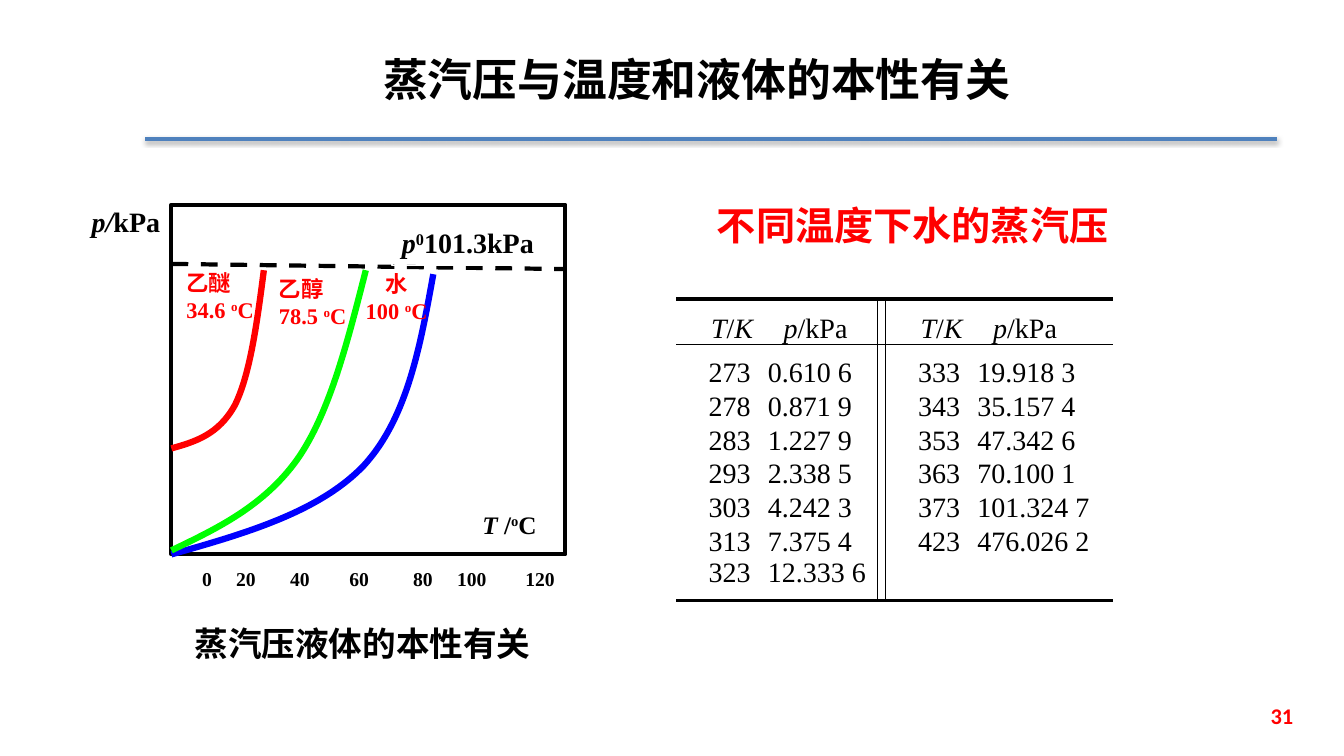
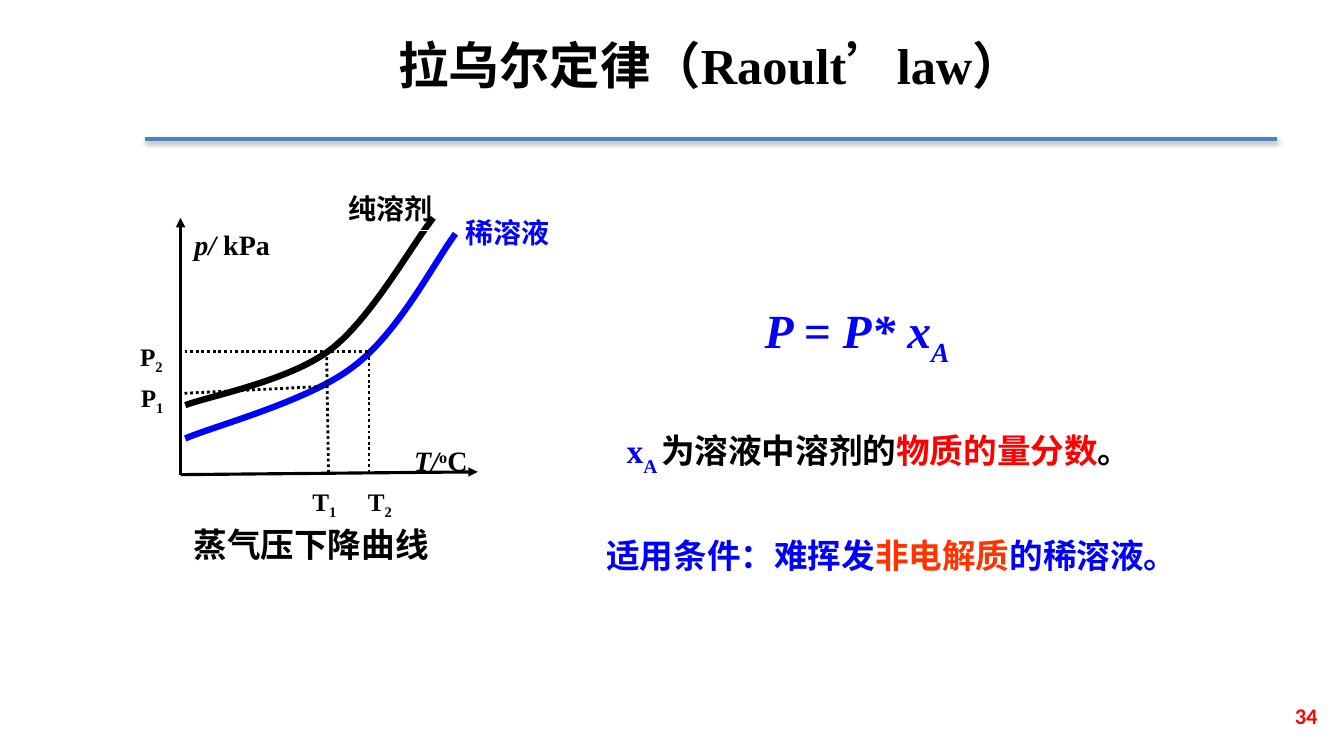
from lxml import etree
from pptx import Presentation
from pptx.dml.color import RGBColor
from pptx.enum.dml import MSO_LINE
from pptx.enum.shapes import MSO_CONNECTOR, MSO_SHAPE
from pptx.enum.text import MSO_ANCHOR, PP_ALIGN
from pptx.oxml.ns import qn
from pptx.util import Cm, Pt

SERIF, CJK = "Times New Roman", "Noto Sans CJK SC"
BLACK, WHITE, RED, BLUE, GREEN = "000000", "FFFFFF", "FF0000", "0000FF", "00FF00"
ORANGE, RULE_BLUE = "FF3300", "4F81BD"
NO_GRID_STYLE = "{2D5ABB26-0587-4C30-8999-92F81FD0307C}"


def italic(text):
    return text, {"italic": True}


def raised(text):
    return text, {"baseline": 30}


def lowered(text, percent=25):
    return text, {"baseline": -percent}


def tinted(text, color):
    return text, {"color": color}


# Lengths in cm. Labels: left, top, width, height, paragraphs of runs, style.
DEGREE = [raised("o"), "C"]
LIQUID = {"size": 16, "color": RED}
AXIS = {"size": 18}

PRESSURE_TITLE = (7.62, 1.04, 19.89, 1.88, [["蒸汽压与温度和液体的本性有关"]],
                  {"size": 32, "font": CJK})
PRESSURE_LABELS = [
    (11.91, 12.7, 2.51, 1.02, [[italic("T "), "/", *DEGREE]], AXIS),
    (2.06, 5.03, 2.97, 1.12, [[italic("p/"), "kPa"]], {}),
    (9.88, 5.56, 3.99, 1.12, [[italic("p"), raised("0"), "101.3kPa"]], {"outline": WHITE}),
    (8.94, 6.68, 2.11, 1.63, [["水"], ["100 ", *DEGREE]],
     {**LIQUID, "align": PP_ALIGN.CENTER}),
    (6.78, 6.81, 2.6, 1.63, [["乙醇"], ["78.5 ", *DEGREE]], LIQUID),
    (4.45, 6.65, 2.49, 1.63, [["乙醚"], ["34.6 ", *DEGREE]], LIQUID),
    (4.27, 15.27, 9.73, 1.88, [["蒸汽压液体的本性有关"]],
     {"size": 24, "font": CJK, "align": PP_ALIGN.CENTER, "anchor": MSO_ANCHOR.MIDDLE}),
    (16.94, 4.95, 12.12, 1.45, [["不同温度下水的蒸汽压"]],
     {"size": 28, "font": CJK, "color": RED, "align": PP_ALIGN.CENTER}),
]
TICKS = [("0", 5.22), ("20", 6.2), ("40", 7.56), ("60", 9.05),
         ("80", 10.66), ("100", 11.89), ("120", 13.61)]
PLOT_FRAME = (4.32, 5.16, 9.93, 8.81)
STANDARD_PRESSURE = [(4.32, 6.65), (14.25, 6.78)]
LIQUID_CURVES = [
    (BLUE, [(4.32, 13.97), (6.2, 13.44), (8.05, 12.9), (9.17, 11.73),
            (10.26, 10.54), (10.59, 8.74), (10.92, 6.91)]),
    (GREEN, [(4.32, 13.87), (5.49, 13.31), (6.65, 12.75), (7.49, 11.58),
             (8.31, 10.41), (8.76, 8.61), (9.22, 6.81)]),
    (RED, [(4.32, 11.3), (4.93, 11.13), (5.51, 10.95), (5.92, 10.21),
           (6.3, 9.45), (6.48, 8.13), (6.65, 6.81)]),
]
TABLE_HEADER = [[italic("T"), "/", italic("K")], [italic("p"), "/kPa"]]
LOW_TEMPERATURES = [("273", "0.610 6"), ("278", "0.871 9"), ("283", "1.227 9"),
                    ("293", "2.338 5"), ("303", "4.242 3"), ("313", "7.375 4"),
                    ("323", "12.333 6")]
HIGH_TEMPERATURES = [("333", "19.918 3"), ("343", "35.157 4"), ("353", "47.342 6"),
                     ("363", "70.100 1"), ("373", "101.324 7"), ("423", "476.026 2"),
                     ("", "")]
TABLE_ORIGIN = (17.04, 7.54)
COLUMN_WIDTHS = [2.06, 3.02, 0.2, 2.06, 3.66]
ROW_HEIGHTS = [1.14, 1.12] + [0.84] * 5 + [1.09]
HEADER_INDENTS, BODY_INDENTS = (0.88, 0.65), (0.82, 0.25)
DIVIDER = 2

RAOULT_TITLE = (3.99, 0.2, 27.84, 2.84,
                [["拉乌尔定律（Raoult", ("’", {"font": CJK}), "law）"]], {"size": 36})
RAOULT_LABELS = [
    (10.19, 11.05, 2.5, 1.12, [[italic("T/"), *DEGREE]], {}),
    (3.51, 13.08, 8.66, 1.3, [["蒸气压下降曲线"]],
     {"size": 24, "font": CJK, "align": PP_ALIGN.CENTER}),
    (4.65, 5.61, 2.8, 1.12, [[italic("p/ "), "kPa"]], {}),
    (11.48, 5.31, 2.92, 1.12, [["稀溶液"]], {"color": BLUE, "outline": WHITE}),
    (8.53, 4.7, 2.67, 1.12, [["纯溶剂"]], {"outline": WHITE}),
    (3.3, 9.5, 1.4, 1.02, [["P", lowered("1")]], AXIS),
    (3.28, 8.48, 1.4, 1.02, [["P", lowered("2")]], AXIS),
    (7.62, 12.12, 1.6, 1.02, [["T", lowered("1")]], AXIS),
    (9.02, 12.12, 1.6, 1.02, [["T", lowered("2")]], AXIS),
    (15.54, 10.11, 13, 1.63,
     [[tinted("x", BLUE), ("A ", {"baseline": -30, "color": BLUE}), "为溶液中溶剂的",
       tinted("物质的量分数", RED), "。"]], {"size": 24, "spacing": 1.5}),
    (19.02, 7.29, 7, 1.75, [["P = P* x", lowered("A", 30)]],
     {"size": 34, "color": BLUE, "italic": True, "spacing": 1.1}),
    (14.78, 13.26, 14.55, 1.3,
     [["适用条件：难挥发", tinted("非电解质", ORANGE), "的稀溶液。"]],
     {"size": 24, "font": CJK, "color": BLUE, "align": PP_ALIGN.CENTER, "spacing": 1.1}),
]
SOLVENT_CURVE = [(4.67, 10.21), (5.28, 9.98), (7.29, 9.6), (8.33, 8.81),
                 (9.35, 8.03), (10.36, 6.2), (10.92, 5.49)]
SOLUTION_CURVE = [(4.67, 11.05), (5.38, 10.74), (7.77, 10.11), (8.89, 9.25),
                  (10.03, 8.41), (10.95, 6.6), (11.48, 5.89)]
AXIS_ORIGIN = (4.55, 11.96)
AXIS_ENDS = [(12.04, 11.89), (4.55, 5.49)]
GUIDES = [((4.65, 8.86), (9.3, 8.86)), ((8.23, 8.86), (8.28, 11.96)),
          ((9.3, 8.86), (9.3, 11.96)), ((4.65, 9.91), (8.26, 9.73))]


def rgb(color):
    return RGBColor.from_string(color)


def set_line(line, color, width, dash=None):
    line.color.rgb = rgb(color)
    line.width = Pt(width)
    if dash:
        line.dash_style = dash


def write(paragraph, runs, size=20, font=SERIF, color=BLACK, bold=True,
          italic=False, align=PP_ALIGN.LEFT, spacing=None):
    """Fill a paragraph with runs: plain strings or (text, changes) pairs."""
    paragraph.alignment = align
    if spacing:
        paragraph.line_spacing = spacing
    base = paragraph.font
    base.size, base.name, base.bold, base.italic = Pt(size), font, bold, italic
    base.color.rgb = rgb(color)
    defaults = paragraph._p.pPr.find(qn("a:defRPr"))
    etree.SubElement(defaults, qn("a:ea")).set("typeface", CJK)
    for item in runs:
        text, changes = (item, {}) if isinstance(item, str) else item
        run = paragraph.add_run()
        run.text = text
        if "italic" in changes:
            run.font.italic = changes["italic"]
        if "color" in changes:
            run.font.color.rgb = rgb(changes["color"])
        if "font" in changes:
            run.font.name = changes["font"]
        if "baseline" in changes:
            run._r.get_or_add_rPr().set("baseline", str(changes["baseline"] * 1000))


def add_label(slide, left, top, width, height, paragraphs, style):
    style = dict(style)
    outline = style.pop("outline", None)
    anchor = style.pop("anchor", MSO_ANCHOR.TOP)
    label = slide.shapes.add_textbox(Cm(left), Cm(top), Cm(width), Cm(height))
    if outline:
        set_line(label.line, outline, 0.75)
    frame = label.text_frame
    frame.word_wrap = True
    frame.vertical_anchor = anchor
    for index, runs in enumerate(paragraphs):
        paragraph = frame.add_paragraph() if index else frame.paragraphs[0]
        write(paragraph, runs, **style)


def add_line(slide, start, end, color=BLACK, width=3.0, dash=None, arrow=False):
    """Draw a straight line and return its effect list, which is empty."""
    line = slide.shapes.add_connector(MSO_CONNECTOR.STRAIGHT, *map(Cm, start + end))
    set_line(line.line, color, width, dash)
    if arrow:
        etree.SubElement(line.line._get_or_add_ln(), qn("a:tailEnd")).set("type", "triangle")
    return etree.SubElement(line._element.spPr, qn("a:effectLst"))


def add_curve(slide, color, points):
    """Draw Bezier segments: a start point, then three points for each segment."""
    pen = slide.shapes.build_freeform(*map(Cm, points[0]))
    pen.add_line_segments([(Cm(x), Cm(y)) for x, y in points[1:]], close=False)
    curve = pen.convert_to_shape()
    curve.shadow.inherit = False
    curve.fill.background()
    set_line(curve.line, color, 4.5)
    outline = next(curve._element.iter(qn("a:path")))
    steps = outline.findall(qn("a:lnTo"))
    for first in range(0, len(steps), 3):
        bezier = etree.SubElement(outline, qn("a:cubicBezTo"))
        for step in steps[first:first + 3]:
            bezier.append(step[0])
            outline.remove(step)


def add_borders(cell, widths):
    """Set borders from a dict of sides (L, R, T, B) to widths in points."""
    properties = cell._tc.get_or_add_tcPr()
    for index, side in enumerate(s for s in "LRTB" if s in widths):
        border = etree.Element(qn(f"a:ln{side}"), w=str(Pt(widths[side])))
        fill = etree.SubElement(border, qn("a:solidFill"))
        etree.SubElement(fill, qn("a:srgbClr")).set("val", BLACK)
        properties.insert(index, border)


def add_pressure_table(slide):
    rows = [TABLE_HEADER + [[]] + TABLE_HEADER]
    for low, high in zip(LOW_TEMPERATURES, HIGH_TEMPERATURES):
        rows.append([[text] if text else [] for text in (*low, "", *high)])
    size = sum(COLUMN_WIDTHS), sum(ROW_HEIGHTS)
    table = slide.shapes.add_table(len(rows), len(COLUMN_WIDTHS),
                                   *map(Cm, TABLE_ORIGIN + size)).table
    table.first_row = table.horz_banding = False
    table._tbl.tblPr.find(qn("a:tableStyleId")).text = NO_GRID_STYLE
    for column, width in zip(table.columns, COLUMN_WIDTHS):
        column.width = Cm(width)
    last = len(rows) - 1
    for r, row in enumerate(rows):
        table.rows[r].height = Cm(ROW_HEIGHTS[r])
        temperature, pressure = BODY_INDENTS if r else HEADER_INDENTS
        indents = [temperature, pressure, 0, temperature, pressure]
        for c, runs in enumerate(row):
            cell = table.cell(r, c)
            cell.margin_left = Cm(indents[c])
            cell.margin_right = cell.margin_top = cell.margin_bottom = 0
            cell.vertical_anchor = MSO_ANCHOR.TOP if r == last else MSO_ANCHOR.BOTTOM
            cell.fill.background()
            write(cell.text_frame.paragraphs[0], runs, bold=False)
            borders = {"L": 0.75, "R": 0.75} if c == DIVIDER else {}
            if r == 0:
                borders.update(T=3, B=0.75)
            elif r == last:
                borders["B"] = 3
            add_borders(cell, borders)


def start_slide(deck, title, number, number_right):
    slide = deck.slides.add_slide(deck.slide_layouts[6])
    effects = add_line(slide, (3.66, 3.5), (32.18, 3.5), RULE_BLUE)
    shadow = etree.SubElement(effects, qn("a:outerShdw"), blurRad=str(Pt(3.1)),
                              dist=str(Pt(1.8)), dir="5400000", rotWithShape="0")
    shade = etree.SubElement(shadow, qn("a:srgbClr"), val=BLACK)
    etree.SubElement(shade, qn("a:alpha"), val="35000")
    *box, paragraphs, style = title
    add_label(slide, *box, paragraphs,
              {**style, "align": PP_ALIGN.CENTER, "anchor": MSO_ANCHOR.MIDDLE})
    add_label(slide, number_right - 7.9, 17.53, 7.9, 1.02, [[number]],
              {"size": 16, "font": "Calibri", "color": RED,
               "align": PP_ALIGN.RIGHT, "anchor": MSO_ANCHOR.MIDDLE})
    return slide


def build_pressure_slide(deck):
    slide = start_slide(deck, PRESSURE_TITLE, "31", 32.84)
    add_line(slide, *STANDARD_PRESSURE, dash=MSO_LINE.DASH)
    frame = slide.shapes.add_shape(MSO_SHAPE.RECTANGLE, *map(Cm, PLOT_FRAME))
    frame.shadow.inherit = False
    frame.fill.background()
    set_line(frame.line, BLACK, 3)
    for color, points in LIQUID_CURVES:
        add_curve(slide, color, points)
    for label in PRESSURE_LABELS:
        add_label(slide, *label)
    for tick, center in TICKS:
        add_label(slide, center - 0.8, 14.17, 1.6, 0.86, [[tick]],
                  {"size": 14, "align": PP_ALIGN.CENTER})
    add_pressure_table(slide)


def build_raoult_slide(deck):
    slide = start_slide(deck, RAOULT_TITLE, "34", 33.45)
    add_curve(slide, BLACK, SOLVENT_CURVE)
    for label in RAOULT_LABELS:
        add_label(slide, *label)
    add_curve(slide, BLUE, SOLUTION_CURVE)
    for end in AXIS_ENDS:
        add_line(slide, AXIS_ORIGIN, end, width=2.25, arrow=True)
    for start, end in GUIDES:
        add_line(slide, start, end, width=2, dash=MSO_LINE.ROUND_DOT)


def main():
    deck = Presentation()
    deck.slide_width, deck.slide_height = Cm(33.87), Cm(19.05)
    build_pressure_slide(deck)
    build_raoult_slide(deck)
    deck.save("out.pptx")


if __name__ == "__main__":
    main()
